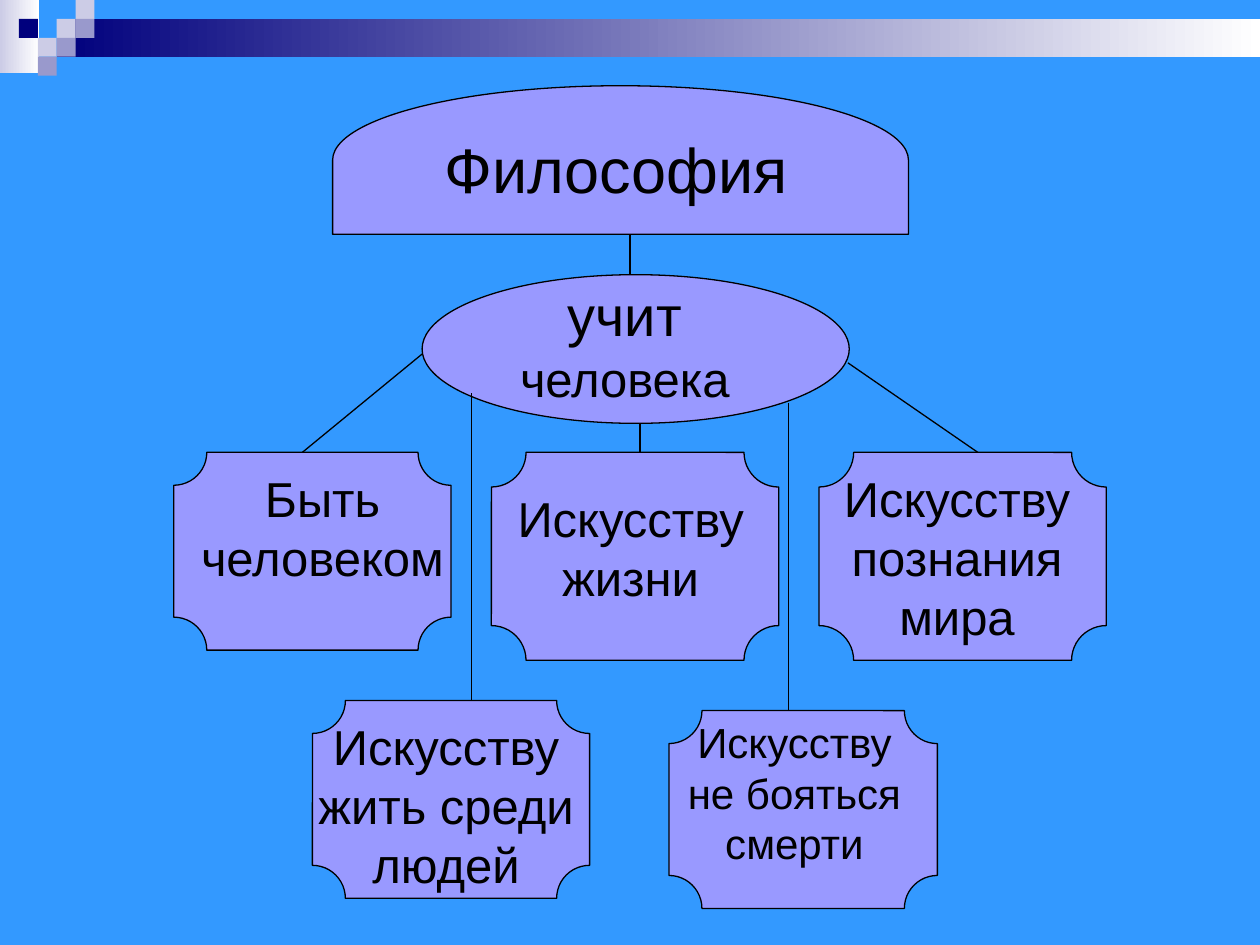
import pptx
import pptx.util
import pptx.dml.color
import pptx.enum.shapes
import pptx.enum.text
from lxml import etree

Inches, Pt = pptx.util.Inches, pptx.util.Pt
SHAPE = pptx.enum.shapes.MSO_SHAPE
COLORS = {"bg": "3399FF", "node": "9999FF", "ink": "000000", "navy": "00007D",
          "pale": "CCCCE6", "mid": "9999CC", "white": "FFFFFF"}


def rgb(name):
    return pptx.dml.color.RGBColor.from_string(COLORS[name])


def add_shape(s, kind, box, fill, outlined=True):
    sp = s.shapes.add_shape(kind, *map(Inches, box))
    sp.shadow.inherit = False
    sp.fill.solid()
    sp.fill.fore_color.rgb = rgb(fill)
    if outlined:
        sp.line.color.rgb = rgb("ink")
        sp.line.width = Pt(0.75)
    else:
        sp.line.fill.background()
    return sp


def add_label(s, box, *runs):
    """Centred text from (text, size) runs."""
    tf = s.shapes.add_textbox(*map(Inches, box)).text_frame
    tf.word_wrap = True
    p = tf.paragraphs[0]
    p.alignment = pptx.enum.text.PP_ALIGN.CENTER
    p.font.name = "Arial"
    p.font.color.rgb = rgb("ink")
    for text, size in runs:
        r = p.add_run()
        r.text = text
        r.font.size = Pt(size)


def add_link(s, x1, y1, x2, y2):
    line = s.shapes.add_connector(pptx.enum.shapes.MSO_CONNECTOR.STRAIGHT,
                                  *map(Inches, (x1, y1, x2, y2)))
    line.line.color.rgb = rgb("ink")
    line.line.width = Pt(0.75)
    sppr = line._element.spPr
    etree.SubElement(sppr, pptx.oxml.ns.qn("a:effectLst"))


def add_banner(s, x, y, width):
    """Gradient bars with a mosaic of small squares at the left end."""
    cell = 0.15
    bars = [((x, y, 0.31, 0.58), "pale"),
            ((x + 3 * cell, y + cell, width - 3 * cell, 2 * cell), "navy")]
    for box, start in bars:
        fill = add_shape(s, SHAPE.RECTANGLE, box, start, False).fill
        fill.gradient()
        fill.gradient_angle = 0
        for stop, color, pos in zip(fill.gradient_stops, (start, "white"), (0, 1)):
            stop.color.rgb = rgb(color)
            stop.position = pos
    squares = [(3, 1, "pale"), (4, 0, "pale"), (4, 1, "mid"), (2, 2, "pale"),
               (1, 1, "navy"), (3, 2, "mid"), (2, 3, "mid")]
    for col, row, color in squares:
        add_shape(s, SHAPE.RECTANGLE,
                  (x + col * cell, y + row * cell, cell, cell), color, False)


def add_title(s, x, y, w, h):
    """Dome: a delay shape turned upright inside the box."""
    turned = (x + (w - h) / 2, y + (h - w) / 2, h, w)
    add_shape(s, SHAPE.FLOWCHART_DELAY, turned, "node").rotation = 270
    add_label(s, (x + 0.55, y + 0.31, 3.54, 0.7), ("Философия ", 36))


def add_hub(s, x, y, w, h):
    add_shape(s, SHAPE.OVAL, (x, y, w, h), "node")
    add_label(s, (x + 0.31, y, 2.6, 1.1), ("учит", 32), (" человека", 28))


def add_plaque(s, box, text, size, dx, dy, text_w, text_h):
    """Plaque whose text is offset by dx, dy from its corner."""
    add_shape(s, SHAPE.PLAQUE, box, "node")
    add_label(s, (box[0] + dx, box[1] + dy, text_w, text_h), (text, size))


def main():
    prs = pptx.Presentation()
    prs.slide_width, prs.slide_height = Inches(10), Inches(7.5)
    s = prs.slides.add_slide(prs.slide_layouts[6])
    s.background.fill.solid()
    s.background.fill.fore_color.rgb = rgb("bg")

    add_banner(s, 0, 0, 10)
    add_title(s, 2.64, 0.68, 4.57, 1.18)
    add_hub(s, 3.35, 2.18, 3.39, 1.18)

    plaques = [
        ((1.38, 3.59, 2.2, 1.57), "Быть человеком", 28, 0.08, 0.08, 2.2, 1.03),
        ((3.9, 3.59, 2.28, 1.65), "Искусству жизни", 28, 0.08, 0.24, 2.05, 1.03),
        ((6.5, 3.59, 2.28, 1.65), "Искусству познания мира", 28, 0.07, 0.08, 2.05, 1.5),
        ((2.48, 5.56, 2.2, 1.57), "Искусству жить среди людей", 28, -0.16, 0.08, 2.44, 1.5),
        ((5.31, 5.64, 2.13, 1.57), "Искусству не бояться смерти", 24, -0.07, 0, 2.13, 1.3),
    ]
    for plaque in plaques:
        add_plaque(s, *plaque)

    links = [(3.35, 2.81, 2.4, 3.59), (5.08, 3.36, 5.08, 3.59),
             (6.73, 2.88, 7.76, 3.59), (3.74, 3.12, 3.74, 5.56),
             (6.26, 3.2, 6.26, 5.64), (5, 1.86, 5, 2.18)]
    for link in links:
        add_link(s, *link)

    prs.save("out.pptx")


if __name__ == "__main__":
    main()
